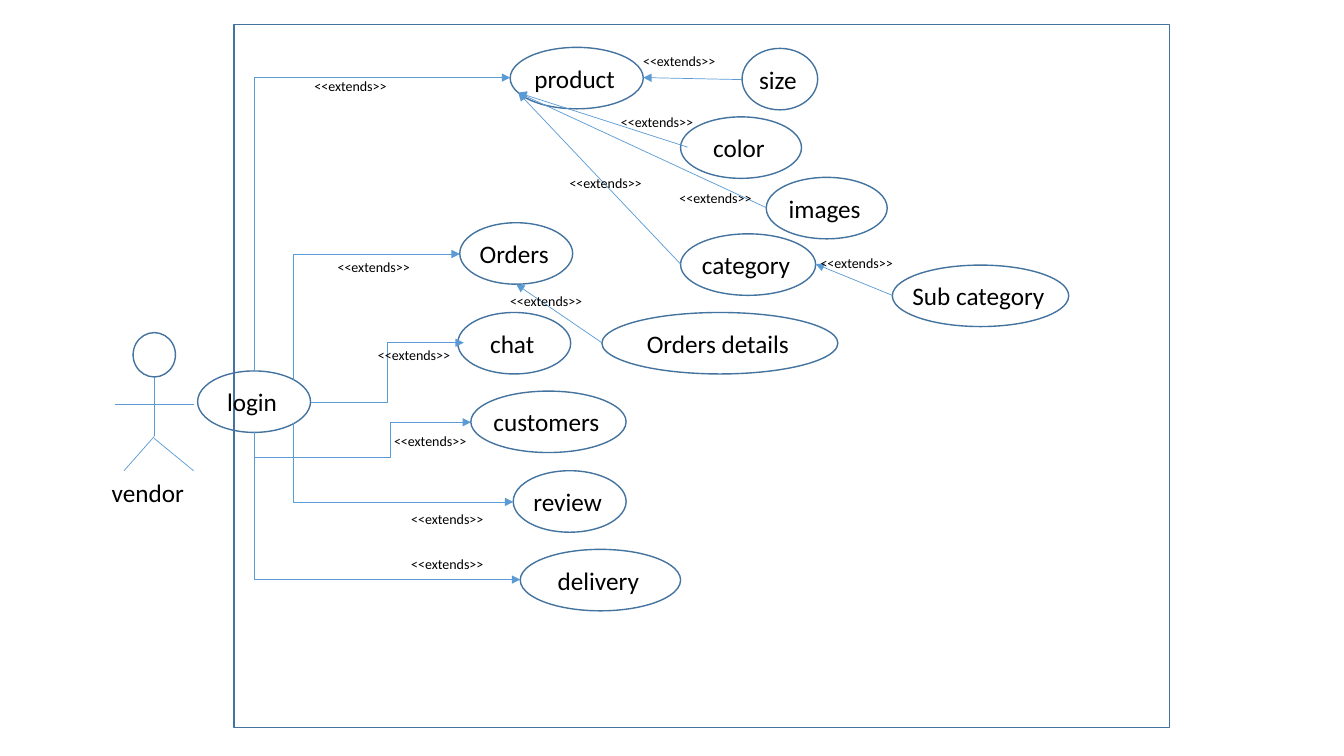
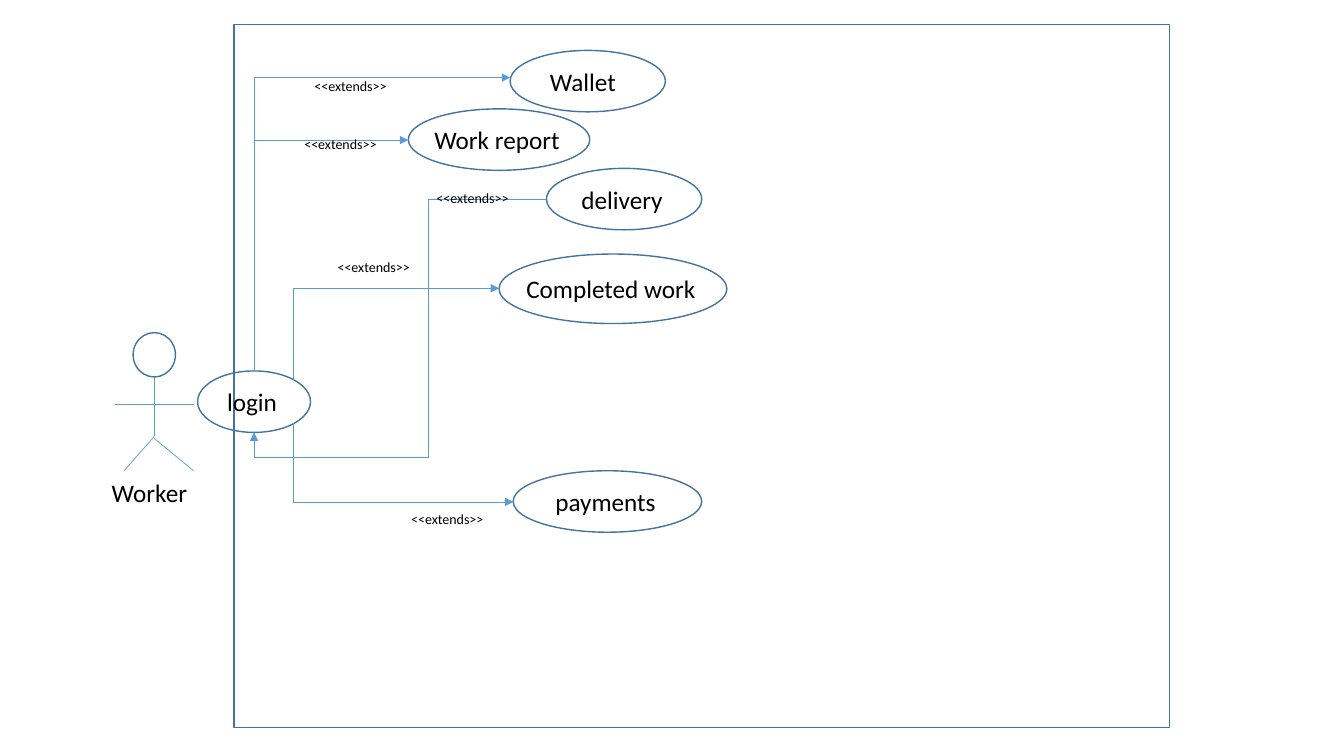
from dataclasses import dataclass
from typing import Any

from lxml import etree
from pptx import Presentation
from pptx import util as u
from pptx.dml import color
from pptx.enum import shapes, text
from pptx.oxml import ns

HUES = {"edge": "43739E", "link": "5B9BD5", "ink": "000000"}
FONT = "Calibri"
TALL = 0.61
Point = tuple[float, float]


@dataclass(frozen=True)
class Case:
    name: str
    left: float
    top: float
    width: float
    height: float = TALL


@dataclass(frozen=True)
class Link:
    start: Point
    end: Point


@dataclass(frozen=True)
class Bend:
    start: Point
    end: Point
    turns: tuple[float, ...] = ()
    flat: bool = False


@dataclass(frozen=True)
class Page:
    actor: str
    cases: tuple[Case, ...]
    links: tuple[Link, ...]
    bends: tuple[Bend, ...]
    notes: tuple[Point, ...]


def hue(name: str) -> color.RGBColor:
    return color.RGBColor.from_string(HUES[name])


def write(frame: Any, words: str, size: float = 18, wrap: bool = True,
          align: Any = text.PP_ALIGN.LEFT) -> None:
    frame.word_wrap = wrap
    para = frame.paragraphs[0]
    para.alignment = align
    run = para.add_run()
    run.text = words
    run.font.name = FONT
    run.font.size = u.Pt(size)
    run.font.color.rgb = hue("ink")


def label(host: Any, words: str, left: float, top: float, width: float,
          height: float, **form: Any) -> None:
    box = host.add_textbox(*map(u.Inches, (left, top, width, height)))
    write(box.text_frame, words, **form)


def outline(host: Any, kind: Any, left: float, top: float, width: float,
            height: float) -> Any:
    shape = host.add_shape(kind, *map(u.Inches, (left, top, width, height)))
    shape.shadow.inherit = False
    shape.fill.background()
    shape.line.color.rgb = hue("edge")
    shape.line.width = u.Pt(1)
    return shape


def draw_case(host: Any, case: Case) -> None:
    oval = outline(host, shapes.MSO_SHAPE.OVAL, case.left, case.top,
                   case.width, case.height)
    frame = oval.text_frame
    frame.margin_left = frame.margin_top = frame.margin_bottom = 0
    frame.margin_right = u.Inches(0.04)
    frame.vertical_anchor = text.MSO_ANCHOR.MIDDLE
    write(frame, case.name, wrap=False, align=text.PP_ALIGN.CENTER)


def draw_link(host: Any, start: Point, end: Point, arrow: bool = True,
              kind: Any = shapes.MSO_CONNECTOR.STRAIGHT) -> Any:
    line = host.add_connector(kind, *map(u.Inches, (*start, *end)))
    line.line.color.rgb = hue("link")
    line.line.width = u.Pt(0.5)
    props = line._element.spPr
    if arrow:
        tip = etree.SubElement(props.find(ns.qn("a:ln")), ns.qn("a:tailEnd"))
        tip.set("type", "triangle")
    etree.SubElement(props, ns.qn("a:effectLst"))
    return line


def draw_bend(host: Any, bend: Bend) -> None:
    line = draw_link(host, bend.start, bend.end,
                     kind=shapes.MSO_CONNECTOR.ELBOW)
    (x, y), (far, low) = bend.start, bend.end
    wide, deep = far - x, low - y
    if bend.flat:
        turn = 180 if wide < 0 else 0
        flips = {"flipH": False, "flipV": (wide < 0) != (deep < 0)}
    else:
        turn = 90 if deep < 0 else 270
        flips = {"flipH": True, "flipV": deep < 0}
        line.left = u.Inches((x + far - abs(deep)) / 2)
        line.top = u.Inches((y + low - abs(wide)) / 2)
        line.width, line.height = u.Inches(abs(deep)), u.Inches(abs(wide))
    props = line._element.spPr
    frame = props.find(ns.qn("a:xfrm"))
    frame.set("rot", str(turn * 60000))
    for name, value in flips.items():
        frame.set(name, str(int(value)))
    shape = props.find(ns.qn("a:prstGeom"))
    shape.set("prst", f"bentConnector{len(bend.turns) + 2}")
    guides = shape.find(ns.qn("a:avLst"))
    spans = ((x, wide), (y, deep)) if bend.flat else ((y, deep), (x, wide))
    for index, (stop, (base, span)) in enumerate(zip(bend.turns, spans), 1):
        guide = etree.SubElement(guides, ns.qn("a:gd"))
        guide.set("name", f"adj{index}" if len(bend.turns) > 1 else "adj1")
        guide.set("fmla", f"val {round((stop - base) / span * 100000)}")


def draw_actor(host: Any, name: str) -> None:
    group = host.add_group_shape().shapes
    outline(group, shapes.MSO_SHAPE.FLOWCHART_CONNECTOR, 1.32, 3.3, 0.42, 0.44)
    for start, end in LIMBS:
        draw_link(group, start, end, arrow=False)
    label(group, name, 1.01, 4.69, 0.95, 0.4, wrap=False)


def draw_page(deck: Any, page: Page) -> None:
    host = deck.slides.add_slide(deck.slide_layouts[6]).shapes
    outline(host, shapes.MSO_SHAPE.RECTANGLE, 2.32, 0.24, 9.28, 6.98)
    draw_actor(host, page.actor)
    for case in (LOGIN, *page.cases):
        draw_case(host, case)
    for link in page.links:
        draw_link(host, link.start, link.end)
    for bend in (*SHARED, *page.bends):
        draw_bend(host, bend)
    for left, top in (*NOTES, *page.notes):
        label(host, "<<extends>>", left, top, 1.09, 0.27, size=10)


LIMBS = (
    ((1.53, 3.74), (1.53, 4.33)),
    ((1.14, 4.01), (1.92, 4.01)),
    ((1.53, 4.33), (1.23, 4.67)),
    ((1.53, 4.35), (1.92, 4.67)),
)
LOGIN = Case("login", 1.96, 3.68, 1.12)
HEAD, FOOT = (2.52, 3.68), (2.52, 4.29)
UPPER, LOWER = (2.91, 3.77), (2.91, 4.2)
CORNER = (5.14, 0.92)
SHARED = (Bend(HEAD, (5.06, 0.77)), Bend(LOWER, (5.09, 4.98)))
NOTES = ((3.25, 2.52), (3.02, 0.72), (3.98, 5.02))

VENDOR = Page(
    "vendor",
    cases=(
        Case("product", 5.06, 0.47, 1.32),
        Case("size", 7.36, 0.48, 0.75),
        Case("color", 6.75, 1.16, 1.2),
        Case("images", 7.6, 1.76, 1.2),
        Case("category", 6.75, 2.32, 1.34),
        Case("Sub category", 8.85, 2.63, 1.75),
        Case("Orders", 4.56, 2.21, 1.12),
        Case("Orders details", 5.97, 3.1, 2.34),
        Case("chat", 4.54, 3.1, 1.12),
        Case("customers", 4.67, 3.88, 1.54),
        Case("review", 5.09, 4.67, 1.12),
        Case("delivery", 5.16, 5.45, 1.59),
    ),
    links=(
        Link((7.36, 0.79), (6.38, 0.77)),
        Link((6.82, 1.46), CORNER),
        Link((7.6, 2.06), CORNER),
        Link((6.75, 2.62), CORNER),
        Link((8.85, 2.93), (8.09, 2.62)),
        Link((5.97, 3.4), (5.12, 2.82)),
    ),
    bends=(
        Bend(UPPER, (4.56, 2.52)),
        Bend((3.08, 3.99), (4.6, 3.4), (3.84,), flat=True),
        Bend(FOOT, (4.67, 4.19), (4.54, 3.87)),
        Bend(FOOT, (5.16, 5.75)),
    ),
    notes=(
        (6.28, 0.47), (6.06, 1.08), (5.55, 1.68), (6.64, 1.83),
        (8.04, 2.48), (4.96, 2.85), (3.65, 3.39), (3.81, 4.24),
        (3.98, 5.46),
    ),
)

WORKER = Page(
    "Worker",
    cases=(
        Case("Wallet ", 5.06, 0.5, 1.54),
        Case("Work report", 4.05, 1.08, 1.8),
        Case("delivery", 5.42, 1.67, 1.54),
        Case("Completed work", 4.95, 2.52, 2.26, 0.69),
        Case("payments", 5.09, 4.67, 1.87),
    ),
    links=(),
    bends=(
        Bend(HEAD, (4.05, 1.39)),
        Bend(UPPER, (4.95, 2.86)),
        Bend((5.42, 1.98), FOOT, (4.25, 4.54), flat=True),
    ),
    notes=((2.92, 1.3), (4.23, 1.83)),
)

deck = Presentation()
deck.slide_width, deck.slide_height = u.Inches(13.33), u.Inches(7.5)
for page in (VENDOR, WORKER):
    draw_page(deck, page)
deck.save("out.pptx")
